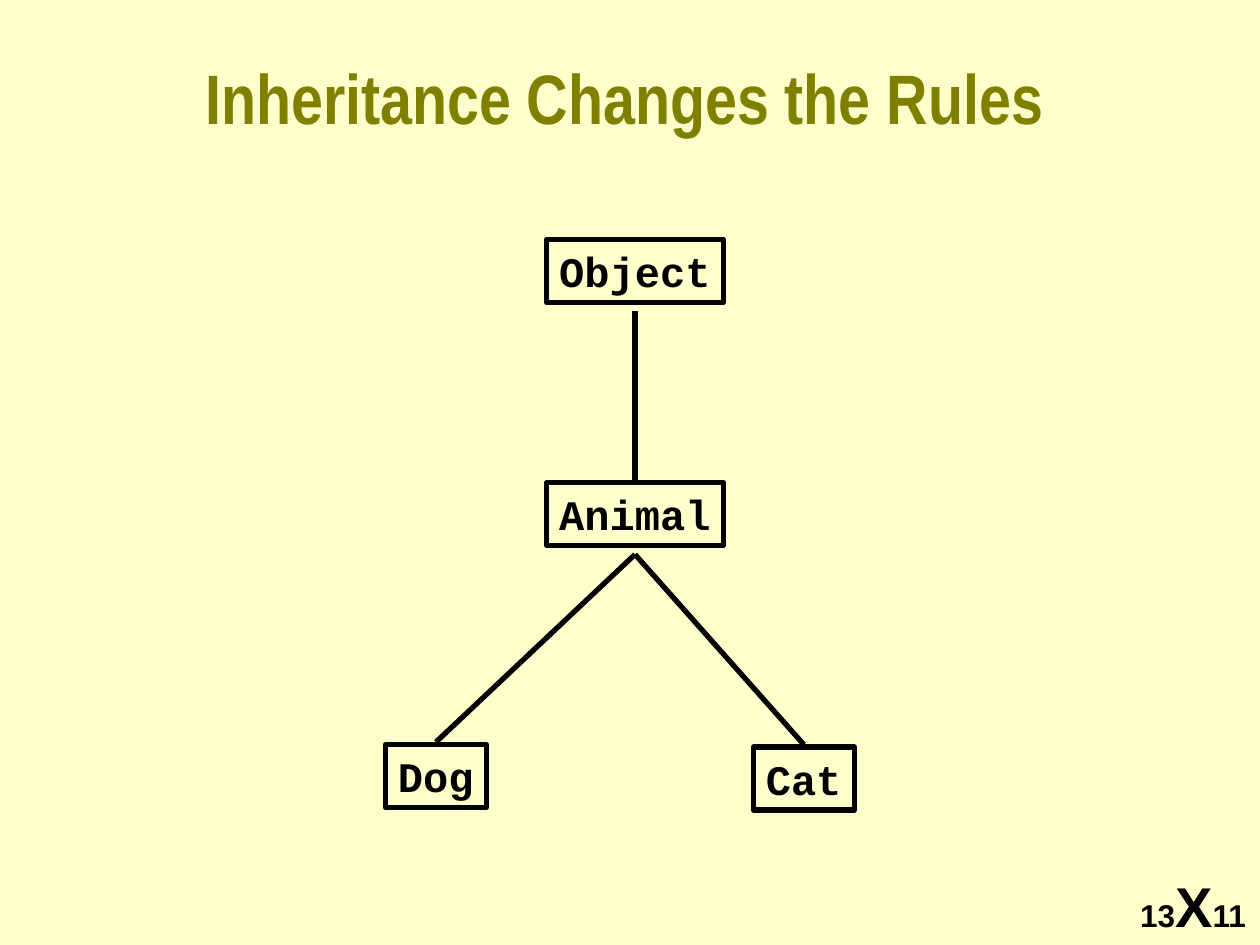
import pptx
import pptx.dml.color
import pptx.enum.shapes
import pptx.enum.text
import pptx.util
from lxml import etree
from pptx.util import Inches

# Content
TITLE = "Inheritance Changes the Rules"
PAGE_LABEL = [("13", "small"), ("X", "large"), ("11", "small")]
CLASSES = {  # name: (centre x, top, width)
    "Object": (5.04, 1.9, 1.4),
    "Animal": (5.04, 3.83, 1.4),
    "Dog": (3.46, 5.91, 0.8),
    "Cat": (6.38, 5.93, 0.8),
}
INHERITANCE = [("Object", "Animal"), ("Animal", "Dog"), ("Animal", "Cat")]

THEME = {
    "background": "FFFFCC", "ink": "000000", "title": "808000",
    "title_font": "Arial Narrow", "class_font": "Courier New", "page_font": "Arial",
    "title_size": 40, "class_size": 24, "small": 18, "large": 32, "line": 3,
}
CLASS_HEIGHT = 0.5
GAP_BELOW_PARENT = 0.07
GAP_ABOVE_CHILD = 0.02


def color(name):
    return pptx.dml.color.RGBColor.from_string(THEME[name])


def write(frame, runs, font, ink, align="LEFT", anchor="TOP", wrap=False):
    """Fill a text frame with (text, size name) runs."""
    frame.word_wrap = wrap
    frame.vertical_anchor = getattr(pptx.enum.text.MSO_ANCHOR, anchor)
    paragraph = frame.paragraphs[0]
    paragraph.alignment = getattr(pptx.enum.text.PP_ALIGN, align)
    for text, size in runs:
        run = paragraph.add_run()
        run.text = text
        run.font.name = THEME[font]
        run.font.size = pptx.util.Pt(THEME[size])
        run.font.bold = True
        run.font.color.rgb = color(ink)


def draw_outline(line):
    line.color.rgb = color("ink")
    line.width = pptx.util.Pt(THEME["line"])


def add_class(slide, name):
    center, top, width = CLASSES[name]
    box = slide.shapes.add_shape(
        pptx.enum.shapes.MSO_SHAPE.RECTANGLE, Inches(center - width / 2),
        Inches(top), Inches(width), Inches(CLASS_HEIGHT))
    box.shadow.inherit = False
    box.fill.background()
    draw_outline(box.line)
    write(box.text_frame, [(name, "class_size")], "class_font", "ink")


def add_inheritance(slide, parent, child):
    parent_x, parent_top, _ = CLASSES[parent]
    child_x, child_top, _ = CLASSES[child]
    link = slide.shapes.add_connector(
        pptx.enum.shapes.MSO_CONNECTOR.STRAIGHT, Inches(parent_x),
        Inches(parent_top + CLASS_HEIGHT + GAP_BELOW_PARENT),
        Inches(child_x), Inches(child_top - GAP_ABOVE_CHILD))
    draw_outline(link.line)
    etree.SubElement(link._element.spPr, pptx.oxml.ns.qn("a:effectLst"))


def main():
    deck = pptx.Presentation()
    deck.slide_width, deck.slide_height = Inches(10), Inches(7.5)
    slide = deck.slides.add_slide(deck.slide_layouts[6])
    slide.background.fill.solid()
    slide.background.fill.fore_color.rgb = color("background")

    # Page label
    page = slide.shapes.add_textbox(Inches(8.95), Inches(6.87), Inches(1.05), Inches(0.64))
    write(page.text_frame, PAGE_LABEL, "page_font", "ink")

    # Title
    title = slide.shapes.add_textbox(Inches(0.33), Inches(0.33), Inches(9.25), Inches(0.87))
    write(title.text_frame, [(TITLE, "title_size")], "title_font", "title",
          align="CENTER", anchor="MIDDLE", wrap=True)

    # Class tree
    for name in CLASSES:
        add_class(slide, name)
    for parent, child in INHERITANCE:
        add_inheritance(slide, parent, child)

    deck.save("out.pptx")


if __name__ == "__main__":
    main()
